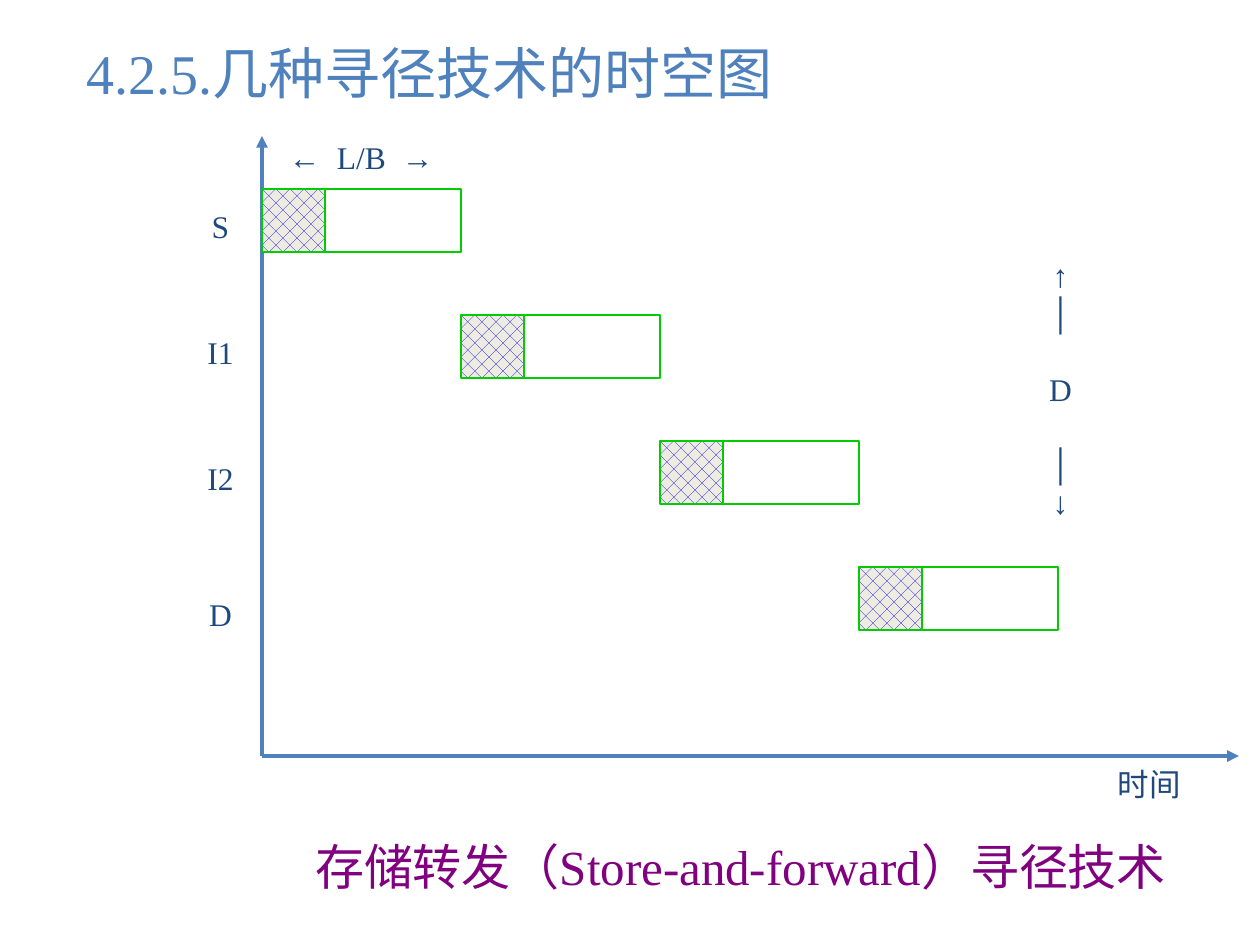
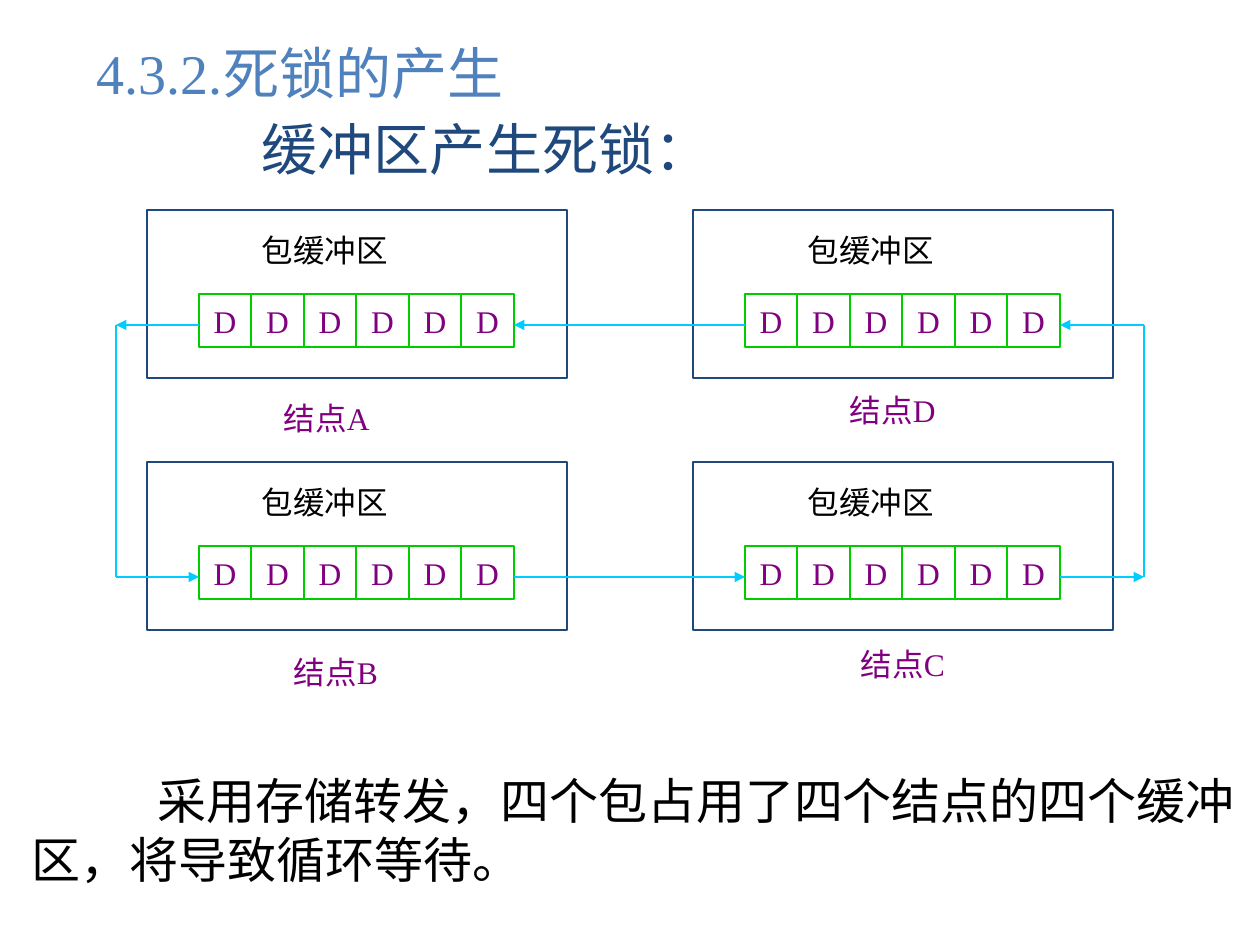
import dataclasses
import lxml.etree
import pptx
import pptx.dml.color
import pptx.enum.dml
import pptx.enum.shapes
import pptx.enum.text
import pptx.oxml.ns
import pptx.util

EMU_PER_PX = 914400 / 126
ALIGN = pptx.enum.text.PP_ALIGN
ANCHOR = pptx.enum.text.MSO_ANCHOR


@dataclasses.dataclass(frozen=True)
class Theme:
    """Colours, font and type sizes shared by the slides."""
    font: str = "Times New Roman"
    accent: str = "4F81BD"
    navy: str = "1F497D"
    purple: str = "800080"
    black: str = "000000"
    green: str = "00CC00"
    cyan: str = "00CCFF"
    hatch: str = "0000FF"
    hatch_ground: str = "EEECE1"
    title_pt: int = 32
    body_pt: int = 28
    label_pt: int = 18


THEME = Theme()


def px(length):
    """Turn px into EMU."""
    return pptx.util.Emu(round(length * EMU_PER_PX))


def rgb(code):
    """Turn a hex code into a colour."""
    return pptx.dml.color.RGBColor.from_string(code)


def add_xml(parent, tag, **attributes):
    """Append a DrawingML element to its parent."""
    return lxml.etree.SubElement(parent, pptx.oxml.ns.qn(tag), attributes)


def style(paragraph, size, color):
    """Format the runs of a paragraph."""
    for run in paragraph.runs:
        run.font.name = THEME.font
        run.font.size = pptx.util.Pt(size)
        run.font.color.rgb = rgb(color)
        run.font.language_id = None
        run.font._element.set("lang", "zh-CN")


def fill_text(frame, text, size, color, align, anchor):
    """Set the text of a frame without margins."""
    frame.margin_left = frame.margin_right = 0
    frame.margin_top = frame.margin_bottom = 0
    frame.word_wrap = True
    frame.vertical_anchor = anchor
    frame.text = text
    for paragraph in frame.paragraphs:
        paragraph.alignment = align
        style(paragraph, size, color)


def add_text(slide, box, text, size=THEME.label_pt, color=THEME.navy,
             align=ALIGN.CENTER, anchor=ANCHOR.MIDDLE):
    """Add a text box and return its frame."""
    frame = slide.shapes.add_textbox(*map(px, box)).text_frame
    fill_text(frame, text, size, color, align, anchor)
    return frame


def add_rect(slide, box, color, weight):
    """Add an outlined, unfilled rectangle."""
    rect = slide.shapes.add_shape(
        pptx.enum.shapes.MSO_SHAPE.RECTANGLE, *map(px, box))
    rect.shadow.inherit = False
    rect.fill.background()
    rect.line.color.rgb = rgb(color)
    rect.line.width = pptx.util.Pt(weight)
    return rect


def add_line(slide, start, end, color, weight, arrow=True):
    """Add a straight line, with an arrowhead at its end if wanted."""
    line = slide.shapes.add_connector(
        pptx.enum.shapes.MSO_CONNECTOR.STRAIGHT, *map(px, start + end))
    line.line.color.rgb = rgb(color)
    line.line.width = pptx.util.Pt(weight)
    properties = line._element.spPr
    if arrow:
        add_xml(properties.find(pptx.oxml.ns.qn("a:ln")), "a:tailEnd", type="triangle")
    add_xml(properties, "a:effectLst")


def add_title(slide, left, title, subtitle=None):
    """Add the section title and an indented subtitle."""
    frame = add_text(slide, (left, 38, 1140, 145 if subtitle else 70), title,
                     THEME.title_pt, THEME.accent, ALIGN.LEFT, ANCHOR.TOP)
    if subtitle:
        paragraph = frame.add_paragraph()
        paragraph.text = subtitle
        paragraph._p.get_or_add_pPr().set("marL", str(px(165)))
        paragraph.space_before = pptx.util.Pt(5.5)
        style(paragraph, THEME.title_pt, THEME.navy)


def add_packet(slide, left, top, header, payload, height):
    """Add a packet with a hatched header and an empty payload."""
    head = add_rect(slide, (left, top, header, height), THEME.green, 1.5)
    head.fill.patterned()
    head.fill.pattern = pptx.enum.dml.MSO_PATTERN.PERCENT_25
    head.fill.fore_color.rgb = rgb(THEME.hatch)
    head.fill.back_color.rgb = rgb(THEME.hatch_ground)
    add_rect(slide, (left + header, top, payload, height), THEME.green, 1.5)


def add_length_mark(slide, left, top):
    """Add the packet time between two arrows."""
    frame = add_text(slide, (left, top, 150, 42), "←\tL/B\t→", align=ALIGN.LEFT)
    stops = add_xml(frame.paragraphs[0]._p.get_or_add_pPr(), "a:tabLst")
    for position in (48, 113):
        add_xml(stops, "a:tab", pos=str(px(position)), algn="l")


def add_distance_mark(slide, box):
    """Add the distance D between two vertical arrows."""
    frame = add_text(slide, box, "↑\n│\nD\n│\n↓")
    for paragraph in frame.paragraphs[2:4]:
        paragraph.space_before = pptx.util.Pt(21.5)


def add_space_time_chart(slide, box):
    """Add axes, stations and the packets passed between them."""
    left, top, width, height = box
    header, payload, packet_height, row = 63, 136, 63, 126
    origin = (left, top + height)
    add_line(slide, origin, (left, top), THEME.accent, 2.25)
    add_line(slide, origin, (left + width, top + height), THEME.accent, 2.25)
    add_text(slide, (left + 808, top + height + 8, 158, 40), "时间")
    stations = {"S": 74, "I1": 200, "I2": 326, "D": 462}
    for index, (station, offset) in enumerate(stations.items()):
        add_text(slide, (left - 73, top + offset, 63, 32), station)
        add_packet(slide, left + index * (header + payload),
                   top + 53 + index * row, header, payload, packet_height)
    add_length_mark(slide, left + 27, top)
    add_distance_mark(slide, (left + 767, top + 74, 63, 357))


def add_node(slide, box):
    """Add a node with its row of full packet buffers."""
    left, top, width, height = box
    cells, strip, cell_height = 6, 315, 53
    add_rect(slide, box, THEME.navy, 0.75)
    edges = [left + 52 + strip * index // cells for index in range(cells + 1)]
    for start, end in zip(edges, edges[1:]):
        cell = add_rect(slide, (start, top + 84, end - start, cell_height),
                        THEME.green, 1.5)
        fill_text(cell.text_frame, "D", THEME.label_pt, THEME.purple,
                  ALIGN.CENTER, ANCHOR.MIDDLE)
    add_text(slide, (left + 115, top + 21, 189, 50), "包缓冲区",
             color=THEME.black, align=ALIGN.LEFT, anchor=ANCHOR.TOP)


def add_deadlock_ring(slide, box):
    """Add four nodes and the wires that join them in a circle."""
    left, top, width, height = box
    node_width, node_height = 420, 168
    node_left, node_right = left + 31, left + width - 31 - node_width
    lower = top + height - node_height
    for node_top in (top, lower):
        for node_x in (node_left, node_right):
            add_node(slide, (node_x, node_top, node_width, node_height))

    upper_wire, lower_wire = top + 115, lower + 115
    stops = (left, node_left + 52, node_left + 367,
             node_right + 52, node_right + 367, left + width)
    for start, end in zip(stops[::2], stops[1::2]):
        add_line(slide, (end, upper_wire), (start, upper_wire), THEME.cyan, 1.5)
        add_line(slide, (start, lower_wire), (end, lower_wire), THEME.cyan, 1.5)
    for rail in (left, left + width):
        add_line(slide, (rail, upper_wire), (rail, lower_wire),
                 THEME.cyan, 1.5, arrow=False)

    names = {"结点A": (168, 189), "结点D": (734, 181),
             "结点B": (178, 443), "结点C": (745, 435)}
    for name, (across, down) in names.items():
        add_text(slide, (left + across, top + down, 126, 50), name,
                 color=THEME.purple, align=ALIGN.LEFT, anchor=ANCHOR.TOP)


def build_store_and_forward(slide):
    """Build the space-time slide for store-and-forward routing."""
    add_title(slide, 86, "4.2.5.几种寻径技术的时空图")
    add_space_time_chart(slide, (262, 136, 977, 620))
    add_text(slide, (284, 819, 913, 94), "存储转发（Store-and-forward）寻径技术",
             THEME.body_pt, THEME.purple)


def build_deadlock(slide):
    """Build the slide on deadlock caused by buffers."""
    add_title(slide, 97, "4.3.2.死锁的产生", "缓冲区产生死锁：")
    add_deadlock_ring(slide, (116, 210, 1028, 420))
    conclusion = add_text(
        slide, (32, 756, 1207, 147),
        "采用存储转发，四个包占用了四个结点的四个缓冲区，将导致循环等待。",
        THEME.body_pt, THEME.black, ALIGN.LEFT)
    conclusion.paragraphs[0]._p.get_or_add_pPr().set("indent", str(px(126)))


def main():
    """Build and save the presentation."""
    deck = pptx.Presentation()
    deck.slide_width, deck.slide_height = px(1260), px(945)
    for build in (build_store_and_forward, build_deadlock):
        build(deck.slides.add_slide(deck.slide_layouts[6]))
    deck.save("out.pptx")


if __name__ == "__main__":
    main()
